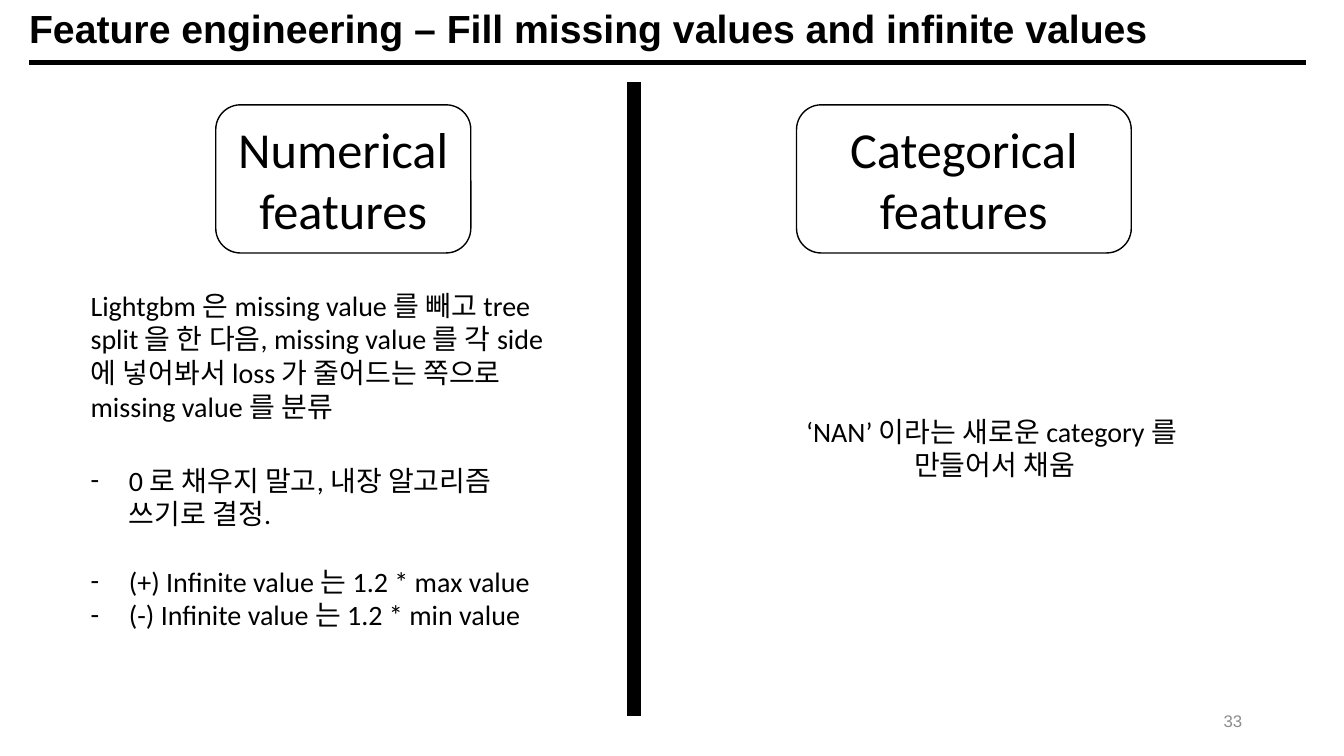
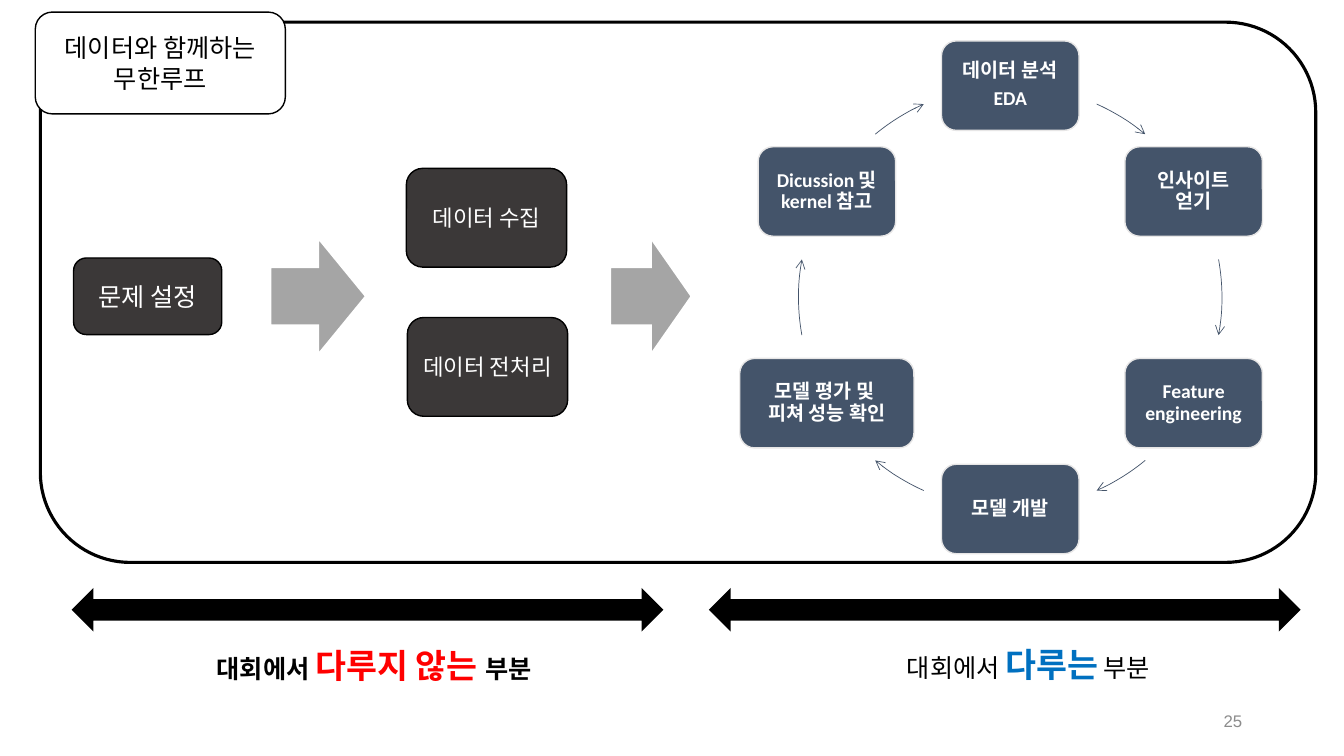
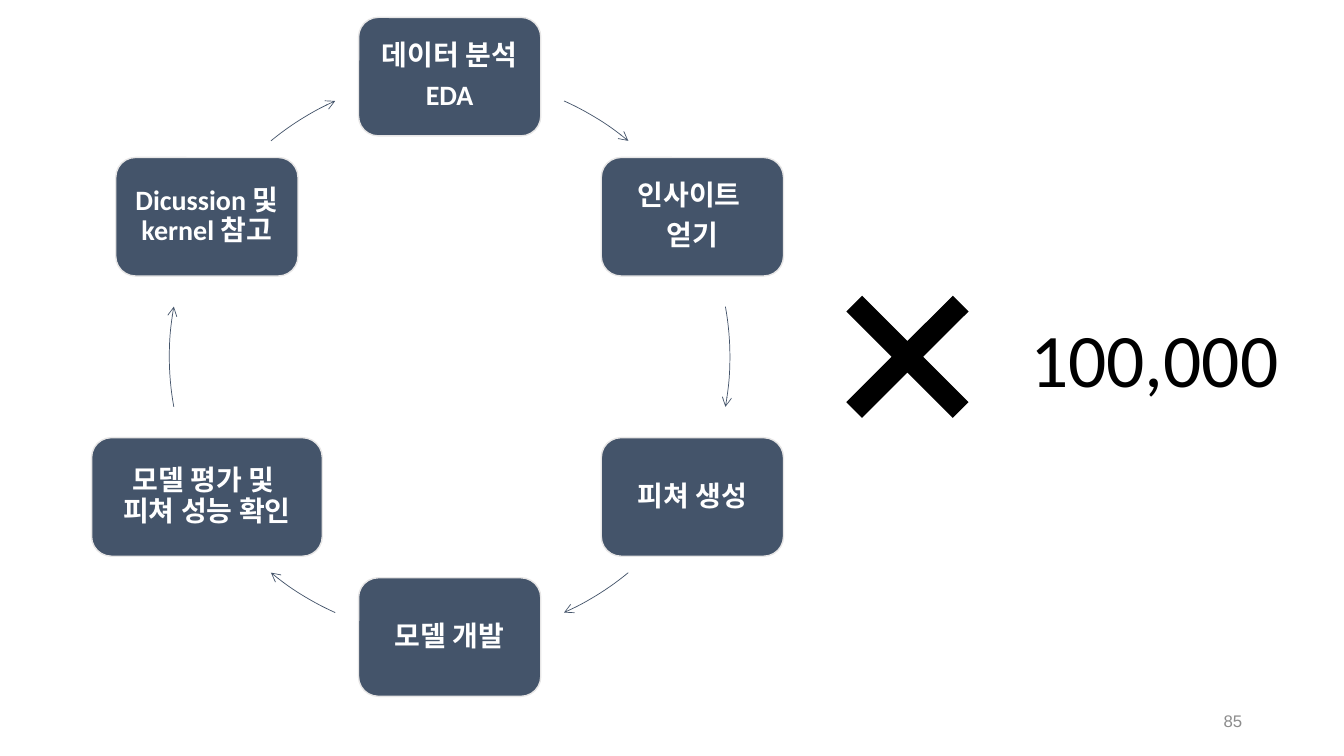
from lxml.etree import SubElement
from pptx import Presentation
from pptx.dml.color import RGBColor
from pptx.enum.shapes import MSO_CONNECTOR, MSO_SHAPE
from pptx.enum.text import MSO_ANCHOR, PP_ALIGN
from pptx.oxml.ns import qn
from pptx.util import Inches, Pt
from math import cos, radians, sin

BLACK, WHITE, DARK, GRAY = "000000", "FFFFFF", "3B3838", "A5A5A5"
NAVY, PALE, MUTED, RED, BLUE = "44546A", "E7E6E6", "8C8C8C", "FF0000", "0070C0"
ROUND = MSO_SHAPE.ROUNDED_RECTANGLE
LEFT, CENTER, RIGHT = PP_ALIGN.LEFT, PP_ALIGN.CENTER, PP_ALIGN.RIGHT
TOP, MIDDLE, BOTTOM = MSO_ANCHOR.TOP, MSO_ANCHOR.MIDDLE, MSO_ANCHOR.BOTTOM
# Start and end angle of each cycle arrow, clockwise from three o'clock
ARCS = [(294.1, 309.6), (349.7, 10.3), (50.4, 65.9),
        (114.1, 129.6), (169.7, 190.3), (230.4, 245.9)]


def color(code):
    return RGBColor.from_string(code)


def dash(para):
    """Give the paragraph a hanging dash as its bullet."""
    props = para._p.get_or_add_pPr()
    props.set("marL", str(Inches(0.38)))
    props.set("indent", str(-Inches(0.38)))
    SubElement(props, qn("a:buFont")).set("typeface", "Calibri")
    SubElement(props, qn("a:buChar")).set("char", "-")


def write(frame, text, size=18, ink=BLACK, bold=False, font="Calibri",
          align=CENTER, line=None, before=0, after=0, bullet=False):
    """Append text: a string split at newlines, or one paragraph of
    (text, overrides) runs. A vertical tab breaks the line."""
    rows = [[(row, {})] for row in text.split("\n")] if isinstance(text, str) else [text]
    for row in rows:
        first = frame.paragraphs[0]
        para = frame.add_paragraph() if first.runs else first
        if bullet:
            dash(para)
        para.alignment = align
        if line:
            para.line_spacing = line
        if before:
            para.space_before = Pt(before)
        if after:
            para.space_after = Pt(after)
        for words, extra in row:
            look = {"size": size, "ink": ink, "bold": bold} | extra
            for num, part in enumerate(words.split("\v")):
                if num:
                    para.add_line_break()
                run = para.add_run()
                run.text = part
                run.font.name = font
                run.font.size = Pt(look["size"])
                run.font.bold = look["bold"]
                run.font.color.rgb = color(look["ink"])


class Deck:
    def __init__(self):
        self.show = Presentation()
        self.show.slide_width = Inches(13.33)
        self.show.slide_height = Inches(7.5)
        self.shapes = None

    def page(self, number):
        self.shapes = self.show.slides.add_slide(self.show.slide_layouts[6]).shapes
        self.text(9.42, 6.95, 3, 0.4, number, anchor=MIDDLE, size=12,
                  ink=MUTED, font="Arial", align=RIGHT)

    def text(self, x, y, w, h, text, anchor=TOP, **look):
        box = self.shapes.add_textbox(Inches(x), Inches(y), Inches(w), Inches(h))
        frame = box.text_frame
        frame.word_wrap = True
        frame.vertical_anchor = anchor
        write(frame, text, **look)
        return frame

    def title(self, text):
        self.text(0.19, 0.01, 12.45, 0.56, text, anchor=BOTTOM, size=28,
                  bold=True, font="Arial", align=LEFT, line=0.9)
        rule = self.shapes.add_connector(MSO_CONNECTOR.STRAIGHT, Inches(0.29),
                                         Inches(0.62), Inches(12.95), Inches(0.62))
        rule.line.color.rgb = color(BLACK)
        rule.line.width = Pt(3)
        SubElement(rule._element.spPr, qn("a:effectLst"))

    def shape(self, kind, x, y, w, h, text="", fill=WHITE, edge=BLACK,
              width=1, inset=None, **look):
        item = self.shapes.add_shape(kind, Inches(x), Inches(y), Inches(w), Inches(h))
        item.shadow.inherit = False
        if fill:
            item.fill.solid()
            item.fill.fore_color.rgb = color(fill)
        else:
            item.fill.background()
        if edge:
            item.line.color.rgb = color(edge)
            item.line.width = Pt(width)
            SubElement(item.line._get_or_add_ln(), qn("a:miter")).set("lim", "800000")
        else:
            item.line.fill.background()
        if text:
            frame = item.text_frame
            frame.word_wrap = True
            frame.vertical_anchor = MIDDLE
            if inset:
                frame.margin_left = frame.margin_right = Inches(inset)
                frame.margin_top = frame.margin_bottom = Inches(inset)
            write(frame, text, **look)
        return item

    def arc(self, x, y, r, start, end):
        """Draw a clockwise arrow on the circle around x, y."""
        item = self.shape(MSO_SHAPE.ARC, x - r, y - r, 2 * r, 2 * r,
                          fill=None, edge=NAVY, width=0.5)
        item.adjustments[0] = start * 0.6
        item.adjustments[1] = end * 0.6
        SubElement(item.line._get_or_add_ln(), qn("a:tailEnd")).set("type", "arrow")

    def cycle(self, x, y, r, size, steps):
        """Set the steps clockwise on a circle, from the top."""
        for num, step in enumerate(steps):
            turn = radians(60 * num - 90)
            w, h = (0.823 if num == 4 else 0.65) * r, 0.423 * r
            self.shape(ROUND, x + r * cos(turn) - w / 2, y + r * sin(turn) - h / 2,
                       w, h, step, fill=NAVY, edge=PALE, inset=0.03 * r,
                       size=size, ink=WHITE, bold=True, line=0.9, after=0.35 * size)
        for start, end in ARCS:
            self.arc(x, y, r, start, end)


def fill_page(deck):
    deck.page("33")
    deck.title("Feature engineering – Fill missing values and infinite values")
    deck.shape(MSO_SHAPE.RECTANGLE, 6.23, 0.82, 0.12, 6.28, fill=BLACK)
    deck.shape(ROUND, 2.14, 1.04, 2.53, 1.47, "Numerical features", size=36)
    deck.shape(ROUND, 7.9, 1.04, 3.32, 1.47, "Categorical\nfeatures", size=36)
    deck.text(6.71, 4.06, 6.31, 0.77,
              "‘NAN’ 이라는 새로운 category 를 \n만들어서 채움", size=20)
    body = deck.text(0.8, 2.81, 4.9, 3.53,
                     "Lightgbm 은 missing value 를 빼고 tree split 을 한 다음, "
                     "missing value 를 각 side 에 넣어봐서 loss 가 줄어드는 쪽으로\n"
                     "missing value 를 분류", size=20, align=LEFT)
    for point, gap in [("0 로 채우지 말고, 내장 알고리즘 쓰기로 결정.", 29),
                       ("(+) Infinite value 는 1.2 * max value", 24),
                       ("(-) Infinite value 는 1.2 * min value", 0)]:
        write(body, point, size=20, align=LEFT, before=gap, bullet=True)


def loop_page(deck):
    deck.page("25")
    deck.cycle(10.02, 2.95, 2.1, 14, [
        "데이터 분석\nEDA", "인사이트\v얻기", "Feature engineering", "모델 개발",
        "모델 평가 및 \v피쳐 성능 확인", "Dicussion 및 kernel 참고"])
    deck.shape(ROUND, 0.4, 0.22, 12.65, 5.36, fill=None, width=2.25)
    deck.shape(ROUND, 0.35, 0.12, 2.48, 1.01, "데이터와 함께하는 무한루프")
    for x, y, w, h, name, size in [(0.73, 2.56, 1.47, 0.76, "문제 설정", 18),
                                   (4.03, 1.67, 1.59, 0.98, "데이터 수집", 16),
                                   (4.04, 3.15, 1.59, 0.98, "데이터 전처리", 16)]:
        deck.shape(ROUND, x, y, w, h, name, fill=DARK, size=size, ink=WHITE)
    for x, w in [(2.68, 0.95), (6.05, 0.81)]:
        deck.shape(MSO_SHAPE.RIGHT_ARROW, x, 2.36, w, 1.16,
                   fill=GRAY, edge=WHITE, width=1.5)
    for x in (0.72, 7.04):
        deck.shape(MSO_SHAPE.LEFT_RIGHT_ARROW, x, 5.85, 5.85, 0.4, fill=BLACK)
    deck.shape(ROUND, 1.59, 6.29, 4.24, 0.61, [
        ("대회에서 ", {}), ("다루지 않는 ", {"size": 24, "ink": RED}), ("부분", {})],
        edge=None, bold=True)
    deck.shape(ROUND, 8.49, 6.21, 3.42, 0.76, [
        ("대회에서 ", {}), ("다루는", {"size": 24, "ink": BLUE, "bold": True}),
        (" 부분", {})], edge=None)


def repeat_page(deck):
    deck.page("85")
    deck.cycle(4.46, 3.54, 2.78, 20, [
        "데이터 분석\nEDA", "인사이트 \n얻기", "피쳐 생성", "모델 개발",
        "모델 평가 및 \v피쳐 성능 확인", "Dicussion 및 kernel 참고"])
    times = deck.shape(MSO_SHAPE.CROSS, 8.26, 2.8, 1.48, 1.48, fill=BLACK)
    times.adjustments[0] = 0.43
    times.rotation = 315
    deck.text(9.64, 3.04, 3.62, 1.01, "100,000", size=54)


def main():
    deck = Deck()
    fill_page(deck)
    loop_page(deck)
    repeat_page(deck)
    deck.show.save("out.pptx")


if __name__ == "__main__":
    main()
